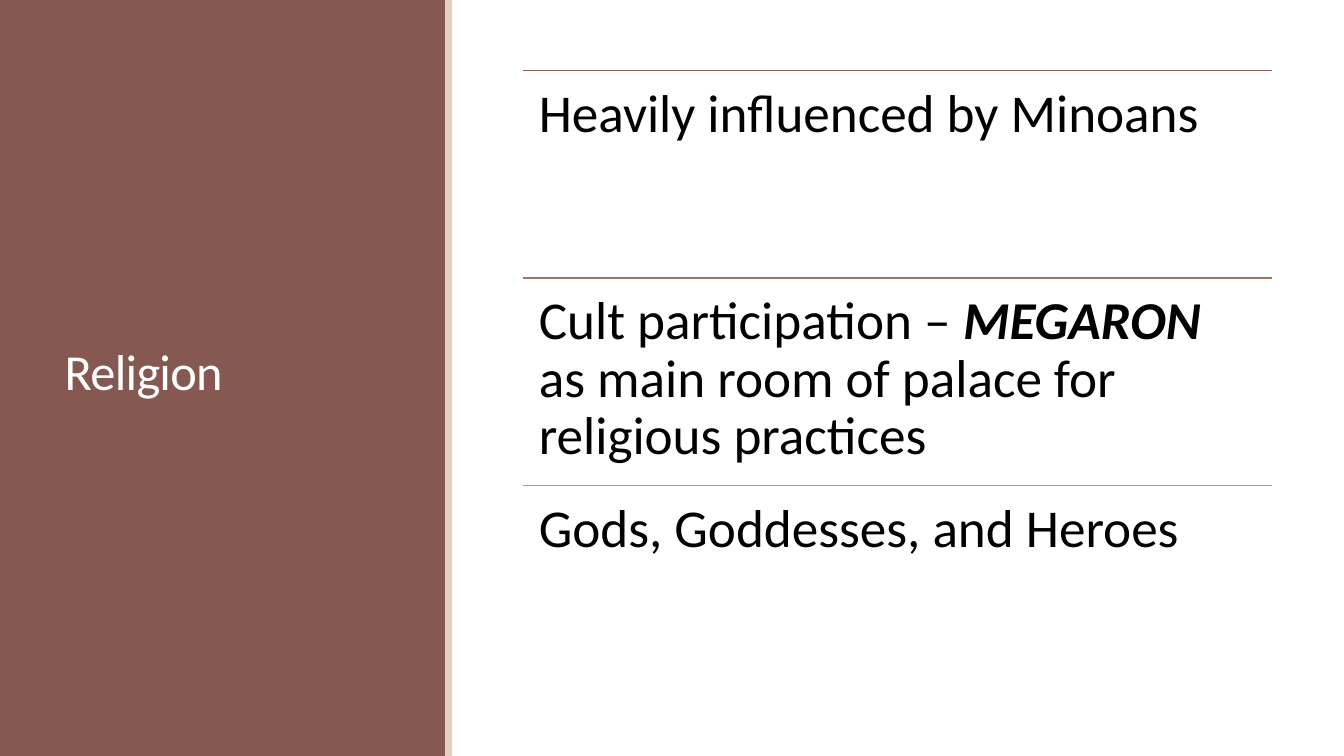
from dataclasses import dataclass

from lxml import etree
from pptx import Presentation
from pptx.dml.color import RGBColor
from pptx.enum import shapes, text
from pptx.oxml import ns
from pptx.util import Pt


@dataclass(frozen=True)
class Theme:
    font: str = "Calibri"
    panel: str = "865852"
    strip: str = "E1D2BF"
    light: str = "FFFFFF"
    dark: str = "000000"
    rules: tuple = ("865852", "A17464", "B29480")
    head: float = 36
    item: float = 38
    line: float = 1.25


class Deck:
    def __init__(self, theme):
        self.theme = theme
        self.prs = Presentation()
        self.prs.slide_width, self.prs.slide_height = Pt(960), Pt(540)
        self.slide = self.prs.slides.add_slide(self.prs.slide_layouts[5])

    def run(self, para, words, size, color, strong=False):
        run = para.add_run()
        run.text = words
        font = run.font
        font.name, font.size = self.theme.font, Pt(size)
        font.color.rgb = RGBColor.from_string(color)
        if strong:
            font.bold = font.italic = True
        return run

    def title(self, words, x, y, w, h):
        box = self.slide.shapes.title
        box.left, box.top, box.width, box.height = map(Pt, (x, y, w, h))
        frame = box.text_frame
        frame.word_wrap = True
        frame.auto_size = text.MSO_AUTO_SIZE.NONE
        frame.vertical_anchor = text.MSO_ANCHOR.MIDDLE
        para = frame.paragraphs[0]
        para.alignment = text.PP_ALIGN.LEFT
        para.line_spacing = 0.85
        run = self.run(para, words, self.theme.head, self.theme.light)
        run.font._element.set("spc", "-50")

    def block(self, color, x, y, w, h):
        """Add a plain rectangle behind the title."""
        box = self.slide.shapes.add_shape(
            shapes.MSO_SHAPE.RECTANGLE, *map(Pt, (x, y, w, h)))
        box.shadow.inherit = False
        box.fill.solid()
        box.fill.fore_color.rgb = RGBColor.from_string(color)
        box.line.fill.background()
        self.slide.shapes.title.element.addprevious(box.element)

    def rule(self, color, x, y, w):
        """Add a horizontal line."""
        line = self.slide.shapes.add_connector(
            shapes.MSO_CONNECTOR.STRAIGHT, *map(Pt, (x, y, x + w, y)))
        line.line.color.rgb = RGBColor.from_string(color)
        line.line.width = Pt(self.theme.line)
        etree.SubElement(line.element.spPr, ns.qn("a:effectLst"))

    def item(self, parts, x, y, w, h):
        """Add a text box from (words, strong) pairs."""
        frame = self.slide.shapes.add_textbox(
            *map(Pt, (x, y, w, h))).text_frame
        frame.word_wrap = True
        frame.margin_left = frame.margin_right = Pt(11.4)
        frame.margin_top = frame.margin_bottom = Pt(11.4)
        para = frame.paragraphs[0]
        para.line_spacing = 0.9
        for words, strong in parts:
            self.run(para, words, self.theme.item, self.theme.dark, strong)


ITEMS = (
    [("Heavily influenced by Minoans", False)],
    [("Cult participation – ", False), ("MEGARON", True),
     (" as main room of palace for religious practices", False)],
    [("Gods, Goddesses, and Heroes", False)],
)


def main():
    theme = Theme()
    deck = Deck(theme)
    deck.block(theme.panel, 0, 0, 319, 540)
    deck.block(theme.strip, 318, 0, 5, 540)
    deck.title("Religion", 39, 41, 243, 454)

    left, top, wide, step = 373.5, 50.4, 535, 148.2
    for i, (color, parts) in enumerate(zip(theme.rules, ITEMS)):
        y = top + i * step
        deck.rule(color, left, y, wide)
        deck.item(parts, left, y, wide, step)
    deck.prs.save("out.pptx")


if __name__ == "__main__":
    main()
